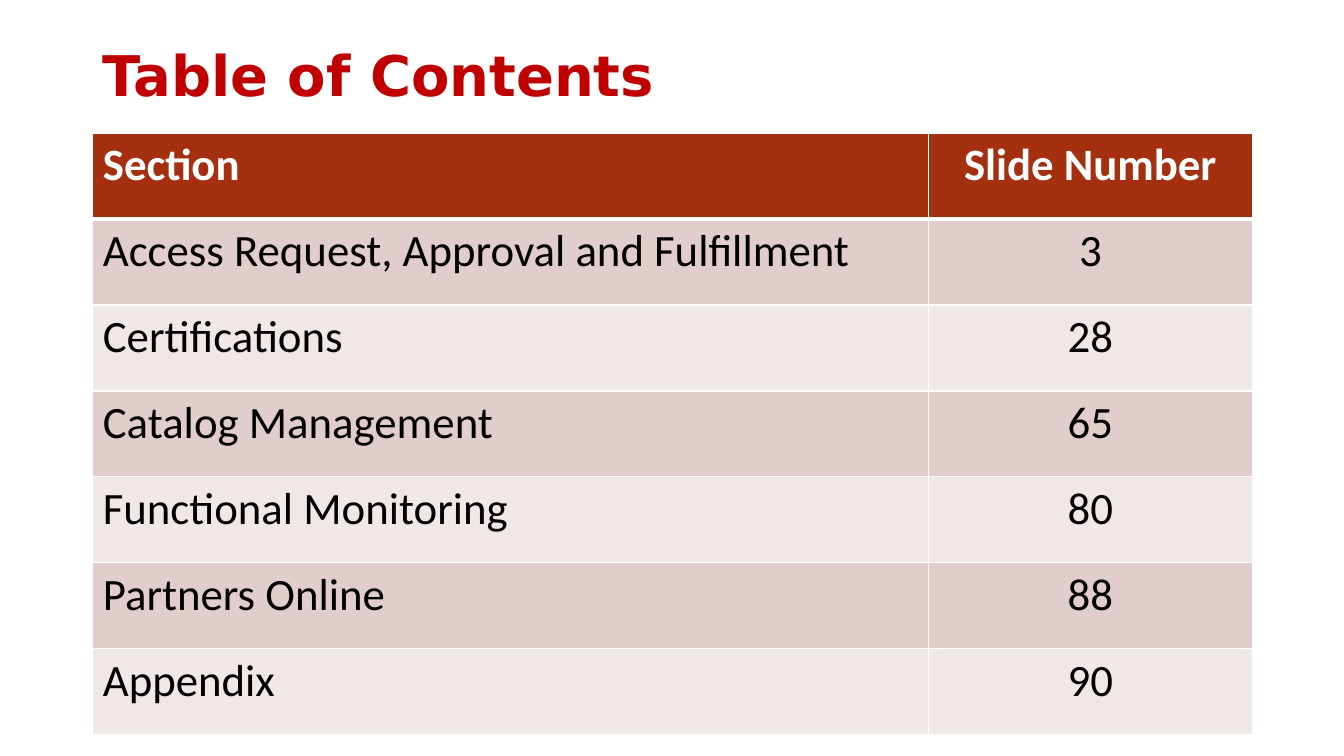
import pptx
import pptx.util
import pptx.dml.color
import pptx.enum.text
import pptx.oxml.ns
from lxml import etree
from pptx.util import Inches

COLORS = {
    "title": "C00000",
    "header": "A5300F",
    "band_dark": "E1CDCC",
    "band_light": "F0E8E7",
    "white": "FFFFFF",
    "black": "000000",
}
SECTIONS = [
    ("Section", "Slide Number"),
    ("Access Request, Approval and Fulfillment", "3"),
    ("Certifications", "28"),
    ("Catalog Management", "65"),
    ("Functional Monitoring", "80"),
    ("Partners Online", "88"),
    ("Appendix", "90"),
]
LEFT, WIDTH = 0.92, 11.5
COL_WIDTHS = (8.29, 3.21)
ROW_HEIGHT = 0.853


def rgb(name):
    """Return the named colour."""
    return pptx.dml.color.RGBColor.from_string(COLORS[name])


def add_run(p, text, size, font, color, bold):
    """Add one formatted run to a paragraph."""
    r = p.add_run()
    r.text = text
    r.font.size = pptx.util.Pt(size)
    r.font.name = font
    r.font.bold = bold
    r.font.color.rgb = rgb(color)


def add_title(s, text):
    """Add the slide title."""
    sp = s.shapes.add_textbox(Inches(LEFT), Inches(0.4), Inches(WIDTH), Inches(0.75))
    tf = sp.text_frame
    tf.word_wrap = True
    tf.vertical_anchor = pptx.enum.text.MSO_ANCHOR.MIDDLE
    p = tf.paragraphs[0]
    p.line_spacing = 0.9
    add_run(p, text, 40, "DejaVu Sans", "title", True)


def set_borders(cell, **widths):
    """Draw white cell borders with widths in points, keyed by side."""
    qn = pptx.oxml.ns.qn
    tcPr = cell._tc.get_or_add_tcPr()
    for side, width in widths.items():
        ln = etree.SubElement(tcPr, qn(f"a:ln{side}"), w=str(pptx.util.Pt(width)))
        fill = etree.SubElement(ln, qn("a:solidFill"))
        etree.SubElement(fill, qn("a:srgbClr"), val=COLORS["white"])


def fill_cell(cell, text, row, col):
    """Style one cell by its row and column."""
    header = row == 0
    set_borders(cell, L=1, R=1, T=3 if row == 1 else 1, B=3 if header else 1)
    cell.fill.solid()
    band = "band_dark" if row % 2 else "band_light"
    cell.fill.fore_color.rgb = rgb("header" if header else band)
    p = cell.text_frame.paragraphs[0]
    if col == 1:
        p.alignment = pptx.enum.text.PP_ALIGN.CENTER
    add_run(p, text, 32, "Calibri", "white" if header else "black", header)


def add_contents(s, rows):
    """Add the table of sections and slide numbers."""
    table = s.shapes.add_table(
        len(rows), len(COL_WIDTHS), Inches(LEFT), Inches(1.32),
        Inches(WIDTH), Inches(ROW_HEIGHT * len(rows))).table
    for column, width in zip(table.columns, COL_WIDTHS):
        column.width = Inches(width)
    for i, row in enumerate(rows):
        table.rows[i].height = Inches(ROW_HEIGHT)
        for j, text in enumerate(row):
            fill_cell(table.cell(i, j), text, i, j)


def main():
    """Build and save the contents slide."""
    prs = pptx.Presentation()
    prs.slide_width, prs.slide_height = Inches(13.33), Inches(7.5)
    s = prs.slides.add_slide(prs.slide_layouts[6])
    add_title(s, "Table of Contents")
    add_contents(s, SECTIONS)
    prs.save("out.pptx")


if __name__ == "__main__":
    main()
